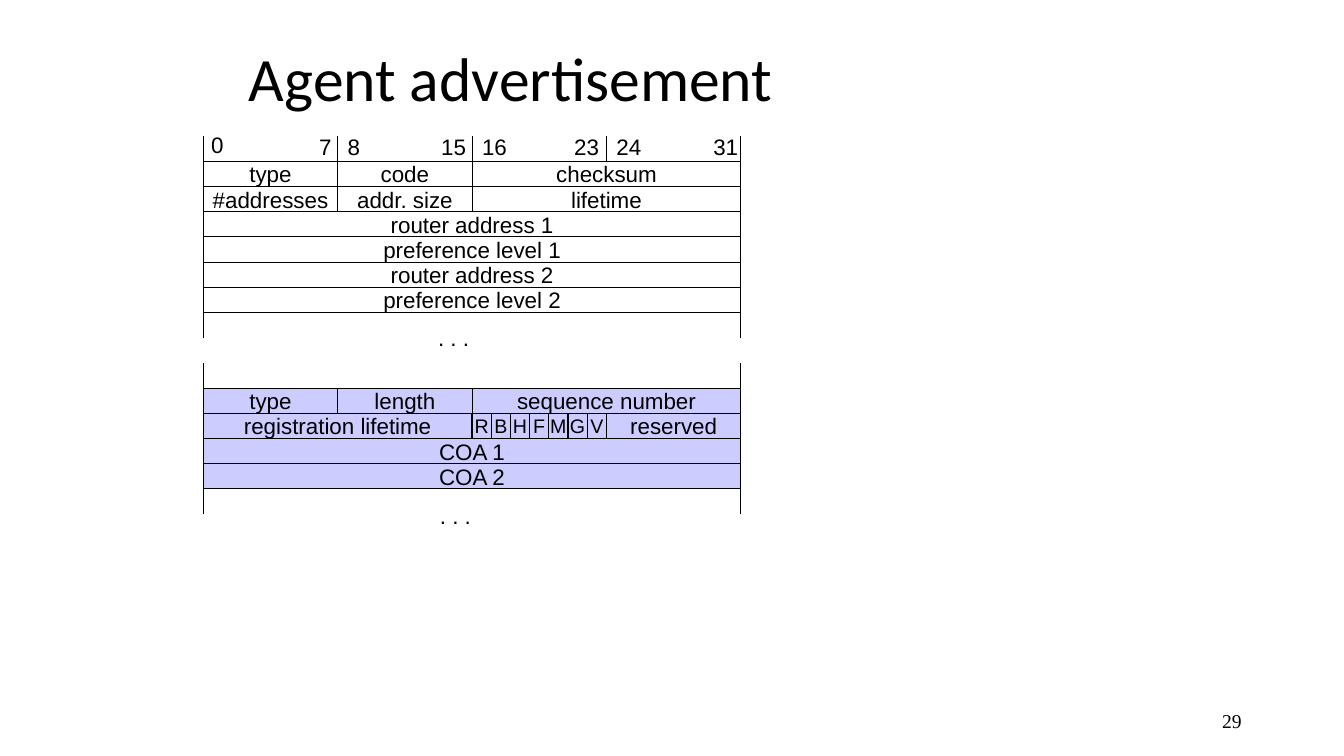
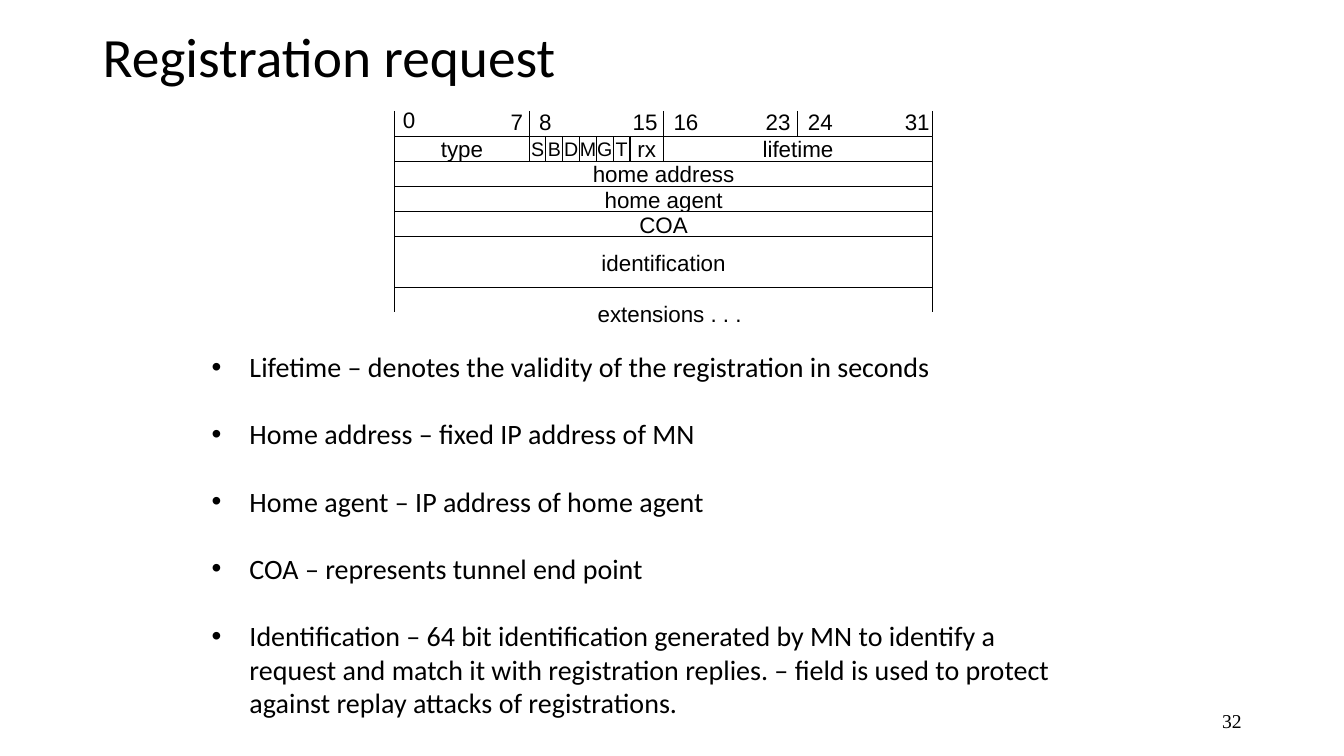
"""Build two slides on the Mobile IP agent advertisement and registration request formats."""
from typing import NamedTuple

from lxml.etree import SubElement
from pptx import Presentation
from pptx.dml.color import RGBColor
from pptx.enum.shapes import MSO_CONNECTOR as Connector
from pptx.enum.shapes import MSO_SHAPE as Preset
from pptx.enum.text import MSO_ANCHOR as Anchor
from pptx.enum.text import MSO_AUTO_SIZE as AutoSize
from pptx.enum.text import PP_ALIGN as Align
from pptx.oxml.ns import qn
from pptx.slide import Slide
from pptx.util import Pt

COLORS = {"ink": "000000", "plain": "FFFFFF", "extension": "CCCCFF"}
BIT = 12
ROW = 18
WORD = 32
BYTE = 8
FIELD_SIZE = 16
FLAG_SIZE = 14
TITLE_ONLY = 5
TITLE_AND_BODY = 1


class Box(NamedTuple):
    left: float
    top: float
    width: float
    height: float


class Field(NamedTuple):
    row: int
    first_bit: float
    bits: float
    label: str
    fill: str = "plain"
    rows: int = 1
    size: float = FIELD_SIZE


class Note(NamedTuple):
    label: str
    left: float
    top: float
    width: float


class Packet(NamedTuple):
    left: float
    top: float
    fields: list[Field]
    flags: list[Field]
    open_rows: list[int]
    notes: list[Note]


RULER = [
    Note("0", -1.4, -25.2, 23),
    Note("7", 75.6, -23.8, 23),
    Note("8", 96, -23.8, 23),
    Note("15", 162.8, -23.8, 32.4),
    Note("16", 192, -23.8, 32.4),
    Note("23", 257.8, -23.8, 32.4),
    Note("24", 288, -23.8, 32.4),
    Note("31", 357.2, -23.8, 32.4),
]


def flag_fields(row: int, first_bit: float, bits: float, letters: str, fill: str = "plain") -> list[Field]:
    width = bits / len(letters)
    return [Field(row, first_bit + i * width, width, letter, fill, size=FLAG_SIZE)
            for i, letter in enumerate(letters)]


ADVERTISEMENT = Packet(
    145.2, 115.2,
    [
        Field(0, 0, 8, "type"),
        Field(0, 8, 8, "code"),
        Field(0, 16, 16, "checksum"),
        Field(1, 0, 8, "#addresses"),
        Field(1, 8, 8, "addr. size"),
        Field(1, 16, 16, "lifetime"),
        Field(2, 0, WORD, "router address 1"),
        Field(3, 0, WORD, "preference level 1"),
        Field(4, 0, WORD, "router address 2"),
        Field(5, 0, WORD, "preference level 2"),
        Field(9, 0, 8, "type", "extension"),
        Field(9, 8, 8, "length", "extension"),
        Field(9, 16, 16, "sequence number", "extension"),
        Field(10, 0, 16, "registration lifetime", "extension"),
        Field(10, 24, 8, "reserved", "extension"),
        Field(11, 0, WORD, "COA 1", "extension"),
        Field(12, 0, WORD, "COA 2", "extension"),
    ],
    flag_fields(10, 16, 8, "RBHFMGV", "extension"),
    [6, 8, 13],
    [Note(". . .", 160.6, 113, 41.8), Note(". . .", 162, 239.8, 41.8)],
)

REQUEST = Packet(
    282, 97.2,
    [
        Field(0, 0, 8, "type"),
        Field(0, 14, 2, "rx"),
        Field(0, 16, 16, "lifetime"),
        Field(1, 0, WORD, "home address"),
        Field(2, 0, WORD, "home agent"),
        Field(3, 0, WORD, "COA"),
        Field(4, 0, WORD, "identification", rows=2),
    ],
    flag_fields(0, 8, 6, "SBDMGT"),
    [6],
    [Note("extensions . . .", 137.8, 113.8, 122.4)],
)

FIELD_MEANINGS = [
    "Lifetime – denotes the validity of the registration in seconds",
    "Home address – fixed IP address of MN",
    "Home agent – IP address of home agent",
    "COA – represents tunnel end point",
    "Identification – 64 bit identification generated by MN to identify a request and match it "
    "with registration replies. – field is used to protect against replay attacks of registrations.",
]


def rgb(name: str) -> RGBColor:
    return RGBColor.from_string(COLORS[name])


def in_points(box: Box) -> list[Pt]:
    return [Pt(length) for length in box]


def place(placeholder, box: Box) -> None:
    placeholder.left, placeholder.top, placeholder.width, placeholder.height = in_points(box)


def write(paragraph, text: str, size: float, font: str, align: Align = Align.LEFT) -> None:
    paragraph.alignment = align
    run = paragraph.add_run()
    run.text = text
    run.font.size = Pt(size)
    run.font.name = font
    run.font.color.rgb = rgb("ink")


def draw_field(shapes, packet: Packet, field: Field) -> None:
    box = Box(packet.left + field.first_bit * BIT, packet.top + field.row * ROW,
              field.bits * BIT, field.rows * ROW)
    cell = shapes.add_shape(Preset.RECTANGLE, *in_points(box))
    cell.shadow.inherit = False
    cell.fill.solid()
    cell.fill.fore_color.rgb = rgb(field.fill)
    cell.line.color.rgb = rgb("ink")
    cell.line.width = Pt(0.75)
    frame = cell.text_frame
    frame.word_wrap = False
    frame.vertical_anchor = Anchor.MIDDLE
    write(frame.paragraphs[0], field.label, field.size, "Arial", Align.CENTER)


def draw_tick(slide: Slide, packet: Packet, bit: int, row: int) -> None:
    x = Pt(packet.left + bit * BIT)
    top = packet.top + row * ROW
    tick = slide.shapes.add_connector(Connector.STRAIGHT, x, Pt(top), x, Pt(top + ROW))
    tick.line.color.rgb = rgb("ink")
    tick.line.width = Pt(0.75)
    SubElement(tick._element.spPr, qn("a:effectLst"))


def draw_note(slide: Slide, packet: Packet, note: Note) -> None:
    box = Box(packet.left + note.left, packet.top + note.top, note.width, 26.6)
    frame = slide.shapes.add_textbox(*in_points(box)).text_frame
    frame.word_wrap = False
    frame.auto_size = AutoSize.SHAPE_TO_FIT_TEXT
    write(frame.paragraphs[0], note.label, FIELD_SIZE, "Arial")


def draw_packet(slide: Slide, packet: Packet) -> None:
    for field in packet.fields:
        draw_field(slide.shapes, packet, field)
    flag_group = slide.shapes.add_group_shape()
    for flag in packet.flags:
        draw_field(flag_group.shapes, packet, flag)
    for bit in range(0, WORD + 1, BYTE):
        draw_tick(slide, packet, bit, -1)
    for row in packet.open_rows:
        for bit in (0, WORD):
            draw_tick(slide, packet, bit, row)
    for note in RULER + packet.notes:
        draw_note(slide, packet, note)


def start_slide(deck, layout: int, title: str, box: Box, size: float, number: str) -> Slide:
    slide = deck.slides.add_slide(deck.slide_layouts[layout])
    heading = slide.shapes.title
    place(heading, box)
    frame = heading.text_frame
    frame.auto_size = AutoSize.NONE
    frame.vertical_anchor = Anchor.MIDDLE
    frame.paragraphs[0].line_spacing = 0.9
    write(frame.paragraphs[0], title, size, "Calibri")

    footer = slide.shapes.add_textbox(*in_points(Box(678, 500.4, 216, 28.8))).text_frame
    footer.word_wrap = True
    footer.vertical_anchor = Anchor.MIDDLE
    write(footer.paragraphs[0], number, 14, "Times New Roman", Align.RIGHT)
    return slide


def fill_body(slide: Slide, items: list[str], box: Box) -> None:
    body = slide.placeholders[1]
    place(body, box)
    frame = body.text_frame
    frame.auto_size = AutoSize.NONE
    frame.vertical_anchor = Anchor.TOP
    for i, item in enumerate(items):
        paragraph = frame.add_paragraph() if i else frame.paragraphs[0]
        paragraph.line_spacing = 1.0
        paragraph.space_before = Pt(0)
        paragraph.space_after = Pt(24)
        write(paragraph, item, 20, "Calibri")
        properties = paragraph._p.get_or_add_pPr()
        properties.set("marL", str(Pt(27)))
        properties.set("indent", str(-Pt(27)))


def main() -> None:
    deck = Presentation()
    deck.slide_width, deck.slide_height = Pt(960), Pt(540)

    advertisement = start_slide(deck, TITLE_ONLY, "Agent advertisement",
                                Box(170.6, 13, 612, 90), 44, "29")
    draw_packet(advertisement, ADVERTISEMENT)

    request = start_slide(deck, TITLE_AND_BODY, "Registration request",
                          Box(66.2, 28.8, 756.8, 28), 39.6, "32")
    draw_packet(request, REQUEST)
    fill_body(request, FIELD_MEANINGS, Box(144, 246.2, 636, 298))

    deck.save("out.pptx")


if __name__ == "__main__":
    main()
